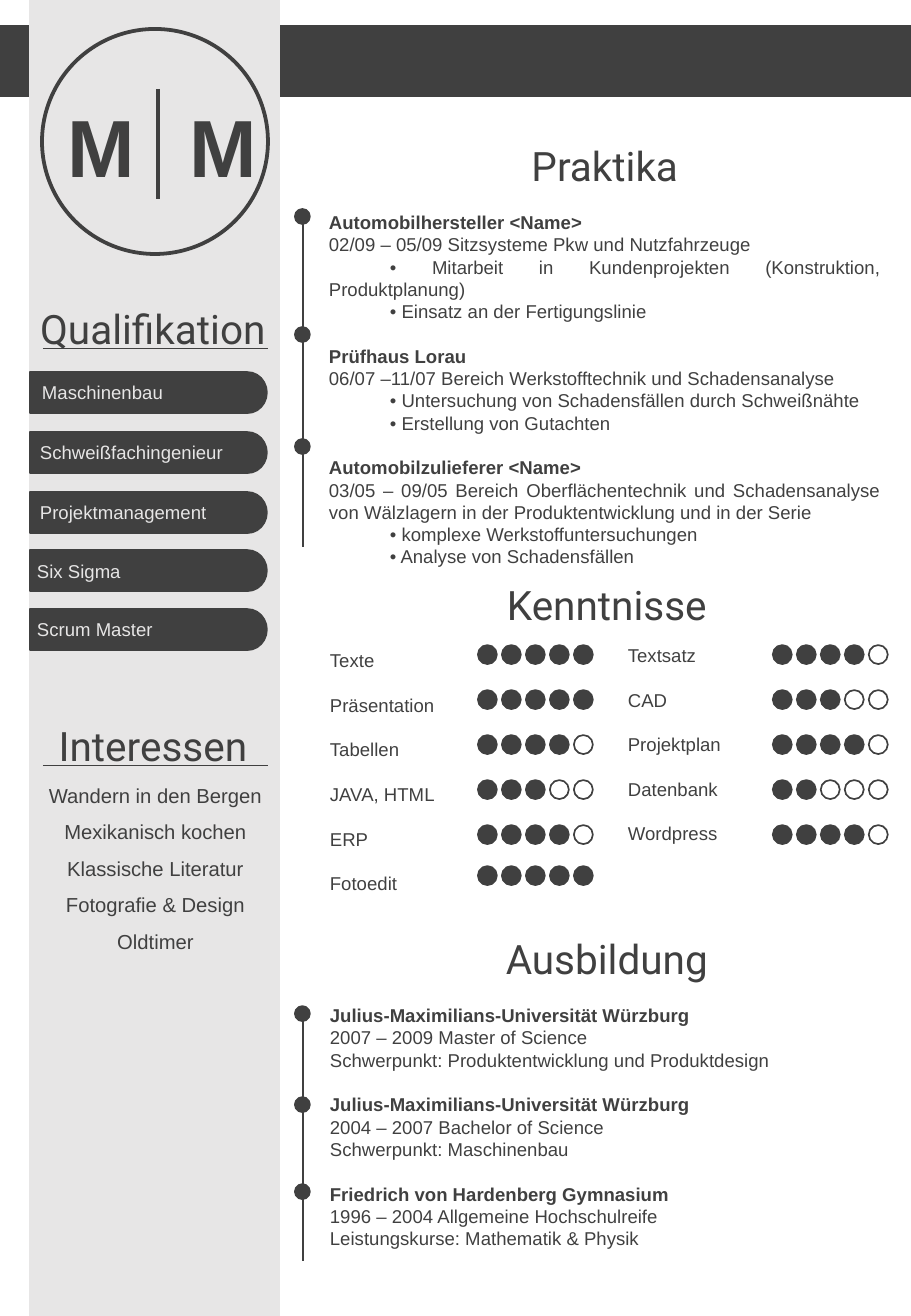
from lxml import etree
from pptx import Presentation
from pptx.dml.color import RGBColor
from pptx.enum.shapes import MSO_CONNECTOR, MSO_SHAPE
from pptx.enum.text import MSO_ANCHOR, MSO_AUTO_SIZE, PP_ALIGN
from pptx.oxml.ns import qn
from pptx.util import Emu, Inches, Pt

RECTANGLE, OVAL, DELAY = MSO_SHAPE.RECTANGLE, MSO_SHAPE.OVAL, MSO_SHAPE.FLOWCHART_DELAY
STRAIGHT = MSO_CONNECTOR.STRAIGHT
LEFT, CENTER, JUSTIFY = PP_ALIGN.LEFT, PP_ALIGN.CENTER, PP_ALIGN.JUSTIFY
TOP, MIDDLE = MSO_ANCHOR.TOP, MSO_ANCHOR.MIDDLE
NO_AUTOFIT = MSO_AUTO_SIZE.NONE

COMPARISON_LAYOUT = 4
COLORS = {"dark": "404040", "light": "E7E6E6"}
HEADING_FONT, TEXT_FONT = "Roboto", "Arial"
TEXT_SIZE = 11
LINE_FACTOR = 1.2
LINE_GAP = TEXT_SIZE * LINE_FACTOR
BULLET_INDENT = 61

INTERNSHIPS = [
    ("Automobilhersteller <Name>", [
        "02/09 – 05/09 Sitzsysteme Pkw und Nutzfahrzeuge",
        "• Mitarbeit in Kundenprojekten (Konstruktion, Produktplanung)",
        "• Einsatz an der Fertigungslinie"]),
    ("Prüfhaus Lorau", [
        "06/07 –11/07 Bereich Werkstofftechnik und Schadensanalyse",
        "• Untersuchung von Schadensfällen durch Schweißnähte",
        "• Erstellung von Gutachten"]),
    ("Automobilzulieferer <Name>", [
        "03/05 – 09/05 Bereich Oberflächentechnik und Schadensanalyse "
        "von Wälzlagern in der Produktentwicklung und in der Serie",
        "• komplexe Werkstoffuntersuchungen",
        "• Analyse von Schadensfällen"]),
]
EDUCATION = [
    ("Julius-Maximilians-Universität Würzburg", [
        "2007 – 2009 Master of Science",
        "Schwerpunkt: Produktentwicklung und Produktdesign"]),
    ("Julius-Maximilians-Universität Würzburg", [
        "2004 – 2007 Bachelor of Science",
        "Schwerpunkt: Maschinenbau"]),
    ("Friedrich von Hardenberg Gymnasium", [
        "1996 – 2004 Allgemeine Hochschulreife",
        "Leistungskurse: Mathematik & Physik"]),
]
LEFT_SKILLS = [("Texte", 5), ("Präsentation", 5), ("Tabellen", 4),
               ("JAVA, HTML", 3), ("ERP", 4), ("Fotoedit", 5)]
RIGHT_SKILLS = [("Textsatz", 4), ("CAD", 3), ("Projektplan", 4),
                ("Datenbank", 2), ("Wordpress", 4)]
RATING_TOPS = [645, 690, 735, 780, 825, 866]
MAX_RATING = 5
INTERESTS = ["Wandern in den Bergen", "Mexikanisch kochen", "Klassische Literatur",
             "Fotografie & Design", "Oldtimer"]
# label, top of the bar, inset of the label
QUALIFICATIONS = [("Maschinenbau", 372, 12), ("Schweißfachingenieur", 432, 10),
                  ("Projektmanagement", 492, 10), ("Six Sigma", 550, 7),
                  ("Scrum Master", 609, 7)]


def px(length):
    return Emu(round(length * 914400 / 121.5))


def color(name):
    return RGBColor.from_string(COLORS[name])


def place(shape, box):
    shape.left, shape.top, shape.width, shape.height = map(px, box)


def add_text_box(slide):
    return slide.shapes.add_textbox(0, 0, 0, 0)


def prepare_frame(shape, anchor=TOP, inset=0):
    frame = shape.text_frame
    frame.auto_size = NO_AUTOFIT
    frame.word_wrap = True
    frame.vertical_anchor = anchor
    frame.margin_left = px(inset)
    frame.margin_right = frame.margin_top = frame.margin_bottom = 0
    return frame


def write_paragraph(paragraph, text, size=TEXT_SIZE, font=TEXT_FONT, align=LEFT,
                    bold=False, fill="dark", spacing=1, before=0, indent=0, tab=None):
    paragraph.text = text
    properties = paragraph._p.get_or_add_pPr()
    properties.set("marL", "0")
    properties.set("indent", str(px(indent)))
    etree.SubElement(properties, qn("a:buNone"))
    if tab:
        tabs = etree.SubElement(properties, qn("a:tabLst"))
        etree.SubElement(tabs, qn("a:tab"), pos=str(px(tab)), algn="l")
    paragraph.alignment = align
    paragraph.line_spacing = Pt(size * LINE_FACTOR * spacing)
    paragraph.space_before = Pt(before)
    paragraph.space_after = Pt(0)
    for run in paragraph.runs:
        run.font.name = font
        run.font.size = Pt(size)
        run.font.bold = bold
        run.font.color.rgb = color(fill)


def write_list(shape, box, items, gap=0, **style):
    place(shape, box)
    frame = prepare_frame(shape)
    for index, item in enumerate(items):
        paragraph = frame.add_paragraph() if index else frame.paragraphs[0]
        write_paragraph(paragraph, item, before=gap if index else 0, **style)


def write_heading(shape, box, text):
    write_list(shape, box, [text], size=24, font=HEADING_FONT, align=CENTER)


def write_entries(shape, box, entries):
    """Bold entry names, each followed by its justified lines."""
    place(shape, box)
    frame = prepare_frame(shape)
    for index, (name, lines) in enumerate(entries):
        paragraph = frame.add_paragraph() if index else frame.paragraphs[0]
        write_paragraph(paragraph, name, bold=True, align=JUSTIFY,
                        before=LINE_GAP if index else 0)
        for line in lines:
            indent = BULLET_INDENT if line.startswith("•") else 0
            write_paragraph(frame.add_paragraph(), line, align=JUSTIFY, indent=indent)


def add_figure(slide, kind, box, fill="dark", line="dark", weight=1):
    shape = slide.shapes.add_shape(kind, *map(px, box))
    shape.shadow.inherit = False
    if fill:
        shape.fill.solid()
        shape.fill.fore_color.rgb = color(fill)
    else:
        shape.fill.background()
    shape.line.color.rgb = color(line)
    shape.line.width = Pt(weight)
    return shape


def add_line(slide, start, end, weight):
    line = slide.shapes.add_connector(STRAIGHT, *map(px, start + end))
    etree.SubElement(line._element.spPr, qn("a:effectLst"))
    line.line.color.rgb = color("dark")
    line.line.width = Pt(weight)


def add_timeline(slide, top, bottom, dot_tops):
    add_line(slide, (303, top), (303, bottom), 1)
    for dot_top in dot_tops:
        add_figure(slide, OVAL, (295, dot_top, 15, 15))


def add_ratings(slide, left, skills):
    for top, (_, level) in zip(RATING_TOPS, skills):
        for step in range(MAX_RATING):
            add_figure(slide, OVAL, (left + 24 * step, top, 19, 19),
                       fill="dark" if step < level else None)


def add_monogram(slide):
    add_figure(slide, OVAL, (42, 29, 226, 225), fill=None, weight=2.25)
    write_list(add_text_box(slide), (68, 96, 190, 98), ["M\tM"], size=48, bold=True, tab=112)
    add_line(slide, (158, 89), (158, 199), 2.25)


def add_sidebar_heading(slide, text, top):
    write_heading(add_text_box(slide), (28, top, 250, 49), text)
    add_line(slide, (43, top + 44), (268, top + 44), 0.5)


def add_qualification(slide, label, top, inset):
    add_figure(slide, DELAY, (228, top, 39, 41))
    bar = add_figure(slide, RECTANGLE, (30, top, 199, 41))
    frame = prepare_frame(bar, MIDDLE, inset)
    write_paragraph(frame.paragraphs[0], label, fill="light")


def main():
    presentation = Presentation()
    presentation.slide_width, presentation.slide_height = Inches(7.5), Inches(10.83)
    slide = presentation.slides.add_slide(presentation.slide_layouts[COMPARISON_LAYOUT])
    title, internships, left_skills, right_skills, education = slide.placeholders

    add_figure(slide, RECTANGLE, (0, 26, 911, 70))
    add_figure(slide, RECTANGLE, (30, 0, 249, 1316), fill="light", line="light")
    add_monogram(slide)

    add_sidebar_heading(slide, "Qualifikation", 304)
    for qualification in QUALIFICATIONS:
        add_qualification(slide, *qualification)
    add_sidebar_heading(slide, "Interessen", 721)
    write_list(add_text_box(slide), (28, 771, 255, 183), INTERESTS,
               size=12, align=CENTER, spacing=1.5)

    write_heading(title, (329, 141, 552, 49), "Praktika")
    write_entries(internships, (329, 211, 552, 358), INTERNSHIPS)
    add_timeline(slide, 215, 547, [209, 327, 439])

    write_heading(add_text_box(slide), (330, 580, 554, 49), "Kenntnisse")
    write_list(left_skills, (330, 649, 140, 246),
               [name for name, _ in LEFT_SKILLS], gap=LINE_GAP)
    write_list(right_skills, (628, 644, 130, 202),
               [name for name, _ in RIGHT_SKILLS], gap=LINE_GAP)
    add_ratings(slide, 478, LEFT_SKILLS)
    add_ratings(slide, 773, RIGHT_SKILLS)

    write_heading(add_text_box(slide), (330, 934, 554, 49), "Ausbildung")
    write_entries(education, (330, 1004, 552, 246), EDUCATION)
    add_timeline(slide, 1012, 1261, [1006, 1097, 1184])

    presentation.save("out.pptx")


if __name__ == "__main__":
    main()
